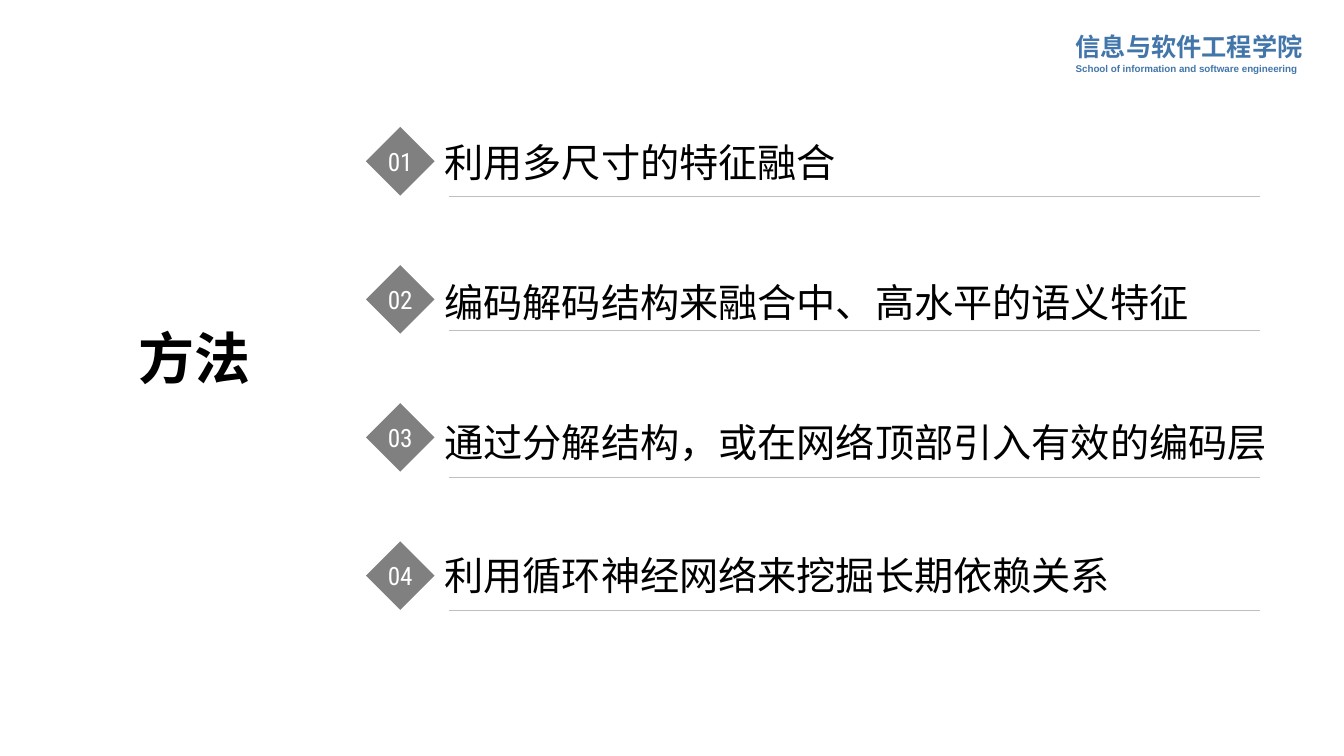
from dataclasses import dataclass

from lxml import etree
from pptx import Presentation
from pptx.dml.color import RGBColor
from pptx.enum.shapes import MSO_CONNECTOR, MSO_SHAPE
from pptx.enum.text import MSO_ANCHOR, MSO_AUTO_SIZE, PP_ALIGN
from pptx.oxml.ns import qn
from pptx.util import Inches, Pt

DIAMOND = MSO_SHAPE.DIAMOND
STRAIGHT = MSO_CONNECTOR.STRAIGHT
MIDDLE = MSO_ANCHOR.MIDDLE
CENTER = PP_ALIGN.CENTER
GROW = MSO_AUTO_SIZE.SHAPE_TO_FIT_TEXT


@dataclass(frozen=True)
class Theme:
    school_blue: str = "4276AA"
    text: str = "000000"
    marker: str = "808080"
    marker_text: str = "FFFFFF"
    rule: str = "BFBFBF"
    body_font: str = "Arial"
    title_font: str = "Times New Roman"
    number_font: str = "Roboto Condensed"
    title_size: int = 40
    item_size: int = 28
    heading_size: int = 18
    caption_size: int = 7
    rule_width: float = 0.25


class SlideBuilder:
    def __init__(self, slide, theme):
        self.slide = slide
        self.theme = theme

    def style(self, paragraph, font_name, size, color, bold=False):
        font = paragraph.font
        font.name = font_name
        font.size = Pt(size)
        font.bold = bold
        font.color.rgb = RGBColor.from_string(color)

    def text(self, box, lines, font_name, color, bold=False, wrap=True, spacing=None):
        shape = self.slide.shapes.add_textbox(*map(Inches, box))
        frame = shape.text_frame
        frame.word_wrap = wrap
        frame.auto_size = GROW
        for index, (line, size) in enumerate(lines):
            paragraph = frame.add_paragraph() if index else frame.paragraphs[0]
            paragraph.text = line
            paragraph.line_spacing = spacing
            self.style(paragraph, font_name, size, color, bold)

    def marker(self, left, top, size, number):
        theme = self.theme
        shape = self.slide.shapes.add_shape(
            DIAMOND, Inches(left), Inches(top), Inches(size), Inches(size)
        )
        shape.shadow.inherit = False
        shape.fill.solid()
        shape.fill.fore_color.rgb = RGBColor.from_string(theme.marker)
        shape.line.fill.background()
        frame = shape.text_frame
        frame.word_wrap = False
        frame.vertical_anchor = MIDDLE
        frame.margin_left = frame.margin_right = 0
        frame.margin_top = frame.margin_bottom = 0
        paragraph = frame.paragraphs[0]
        paragraph.text = number
        paragraph.alignment = CENTER
        self.style(paragraph, theme.number_font, theme.heading_size, theme.marker_text)

    def rule(self, left, right, top):
        connector = self.slide.shapes.add_connector(
            STRAIGHT, Inches(left), Inches(top), Inches(right), Inches(top)
        )
        connector.line.color.rgb = RGBColor.from_string(self.theme.rule)
        connector.line.width = Pt(self.theme.rule_width)
        etree.SubElement(connector._element.spPr, qn("a:effectLst"))


METHODS = [
    ("利用多尺寸的特征融合", 4.13, 1.32, 1.95),
    ("编码解码结构来融合中、高水平的语义特征", 7.66, 2.71, 3.28),
    ("通过分解结构，或在网络顶部引入有效的编码层", 8.45, 4.1, 4.73),
    ("利用循环神经网络来挖掘长期依赖关系", 6.88, 5.42, 6.05),
]
MARKER_TOP = 1.26
MARKER_PITCH = 1.37


def main():
    presentation = Presentation()
    presentation.slide_width = Inches(13.33)
    presentation.slide_height = Inches(7.5)
    slide = presentation.slides.add_slide(presentation.slide_layouts[6])
    theme = Theme()
    builder = SlideBuilder(slide, theme)

    school_lines = [
        ("信息与软件工程学院", theme.heading_size),
        ("School of information and software engineering", theme.caption_size),
    ]
    builder.text(
        (10.57, 0.23, 2.45, 0.56), school_lines, theme.body_font,
        theme.school_blue, bold=True, spacing=1.1,
    )
    builder.text(
        (1.28, 3.16, 1.44, 0.77), [("方法", theme.title_size)],
        theme.title_font, theme.text, bold=True,
    )
    for index, (method, width, text_top, rule_top) in enumerate(METHODS):
        builder.marker(3.63, MARKER_TOP + index * MARKER_PITCH, 0.68, f"{index + 1:02}")
        builder.rule(4.45, 12.5, rule_top)
        builder.text(
            (4.31, text_top, width, 0.57), [(method, theme.item_size)],
            theme.body_font, theme.text, wrap=False,
        )

    presentation.save("out.pptx")


if __name__ == "__main__":
    main()
